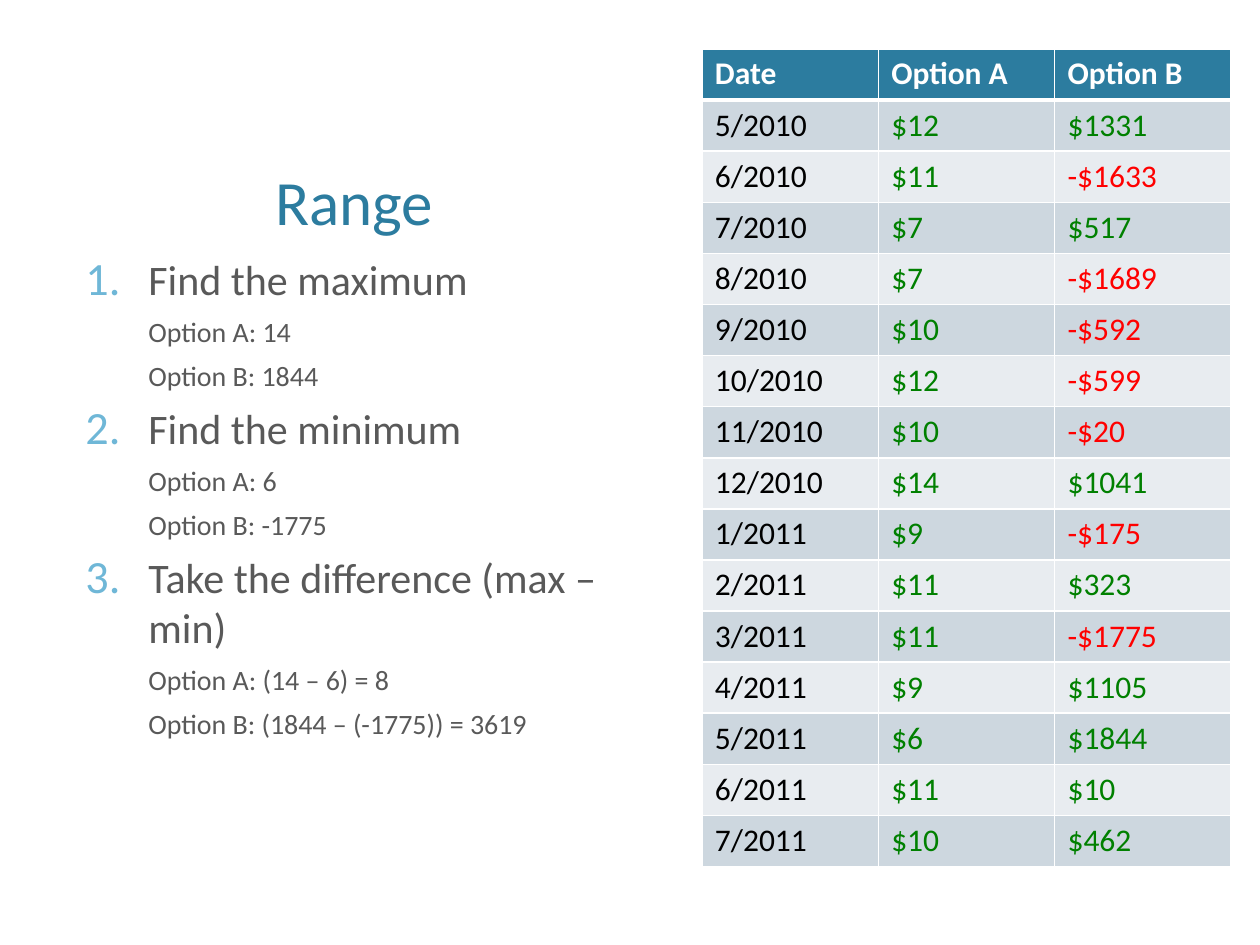
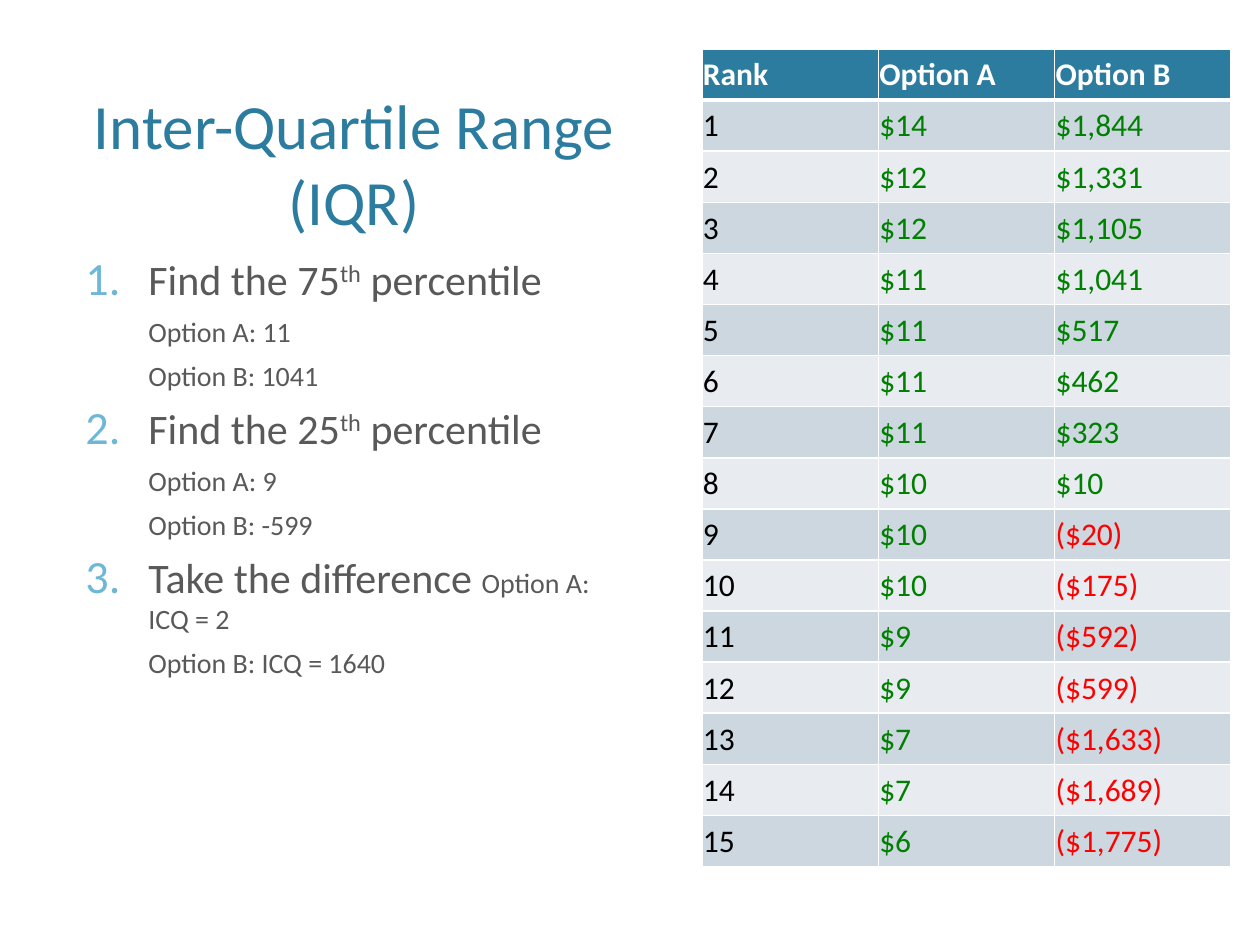
from lxml import etree
from pptx import Presentation
from pptx import util as u
from pptx.dml.color import RGBColor
from pptx.enum import text
from pptx.oxml import ns

# Content: a step is its heading runs plus detail lines; a run is (text, style)
SLIDES = [
    {
        "title": "Range",
        "steps": [
            ([("Find the maximum", "step")],
             ["Option A: 14", "Option B: 1844"]),
            ([("Find the minimum", "step")],
             ["Option A: 6", "Option B: -1775"]),
            ([("Take the difference (max – min)", "step")],
             ["Option A: (14 – 6) = 8", "Option B: (1844 – (-1775)) = 3619"]),
        ],
        "header": ("Date", "Option A", "Option B"),
        "rows": [
            ("5/2010", "$12", "$1331"),
            ("6/2010", "$11", "-$1633"),
            ("7/2010", "$7", "$517"),
            ("8/2010", "$7", "-$1689"),
            ("9/2010", "$10", "-$592"),
            ("10/2010", "$12", "-$599"),
            ("11/2010", "$10", "-$20"),
            ("12/2010", "$14", "$1041"),
            ("1/2011", "$9", "-$175"),
            ("2/2011", "$11", "$323"),
            ("3/2011", "$11", "-$1775"),
            ("4/2011", "$9", "$1105"),
            ("5/2011", "$6", "$1844"),
            ("6/2011", "$11", "$10"),
            ("7/2011", "$10", "$462"),
        ],
        "margins": (13, 6, 13, 6),
        "anchor": text.MSO_ANCHOR.TOP,
    },
    {
        "title": "Inter-Quartile Range (IQR)",
        "steps": [
            ([("Find the 75", "step"), ("th", "super"), (" percentile", "step")],
             ["Option A: 11", "Option B: 1041"]),
            ([("Find the 25", "step"), ("th", "super"), (" percentile", "step")],
             ["Option A: 9", "Option B: -599"]),
            ([("Take the difference ", "step"), ("Option A: ICQ = 2", "detail")],
             ["Option B: ICQ = 1640"]),
        ],
        "header": ("Rank", "Option A", "Option B"),
        "rows": [
            ("1", "$14", "$1,844"),
            ("2", "$12", "$1,331"),
            ("3", "$12", "$1,105"),
            ("4", "$11", "$1,041"),
            ("5", "$11", "$517"),
            ("6", "$11", "$462"),
            ("7", "$11", "$323"),
            ("8", "$10", "$10"),
            ("9", "$10", "($20)"),
            ("10", "$10", "($175)"),
            ("11", "$9", "($592)"),
            ("12", "$9", "($599)"),
            ("13", "$7", "($1,633)"),
            ("14", "$7", "($1,689)"),
            ("15", "$6", "($1,775)"),
        ],
        "margins": (1, 1, 1, 0),
        "anchor": text.MSO_ANCHOR.MIDDLE,
    },
]

# Shared look
FONT = "Calibri"
TEAL = RGBColor(0x2C, 0x7C, 0x9F)
SKY = RGBColor(0x6F, 0xB7, 0xD7)
GREY = RGBColor(0x59, 0x59, 0x59)
WHITE = RGBColor(0xFF, 0xFF, 0xFF)
BLACK = RGBColor(0, 0, 0)
GAIN = RGBColor(0, 0x80, 0)
LOSS = RGBColor(0xFF, 0, 0)
BANDS = (RGBColor(0xCD, 0xD7, 0xDF), RGBColor(0xE8, 0xEC, 0xF0))
SIZES = {"step": 24, "super": 24, "detail": 16}

# Layout in px, 126 to the inch
PX = u.Inches(1) / 126
SLIDE_SIZE = (1260, 945)
TITLE_BOX = (73, 84, 562, 160)
STEPS_BOX = (73, 247, 562, 513)
TABLE_BOX = (702, 49, 529, 818)
INDENT = 63


def px(n):
    return u.Emu(round(n * PX))


def add_run(p, words, size, color, bold=False):
    r = p.add_run()
    r.text = words
    r.font.name, r.font.size, r.font.bold = FONT, u.Pt(size), bold
    r.font.color.rgb = color
    return r


def add_box(slide, box):
    tf = slide.shapes.add_textbox(*map(px, box)).text_frame
    tf.word_wrap = True
    return tf


def sub(parent, tag, **attrs):
    return etree.SubElement(parent, ns.qn(tag), attrs)


def style_paragraph(p, numbered):
    """Indent the paragraph, and number it if it is a step."""
    p.space_before = u.Pt(6)
    p.level = 0 if numbered else 1
    pPr = p._p.get_or_add_pPr()
    pPr.set("marL", str(px(INDENT)))
    pPr.set("indent", str(-px(INDENT) if numbered else 0))
    if numbered:
        sub(sub(pPr, "a:buClr"), "a:srgbClr", val=str(SKY))
        sub(pPr, "a:buSzPct", val="110000")
        sub(pPr, "a:buFont", typeface="+mj-lt")
        sub(pPr, "a:buAutoNum", type="arabicPeriod")
    else:
        sub(pPr, "a:buNone")


def add_title(slide, title):
    tf = add_box(slide, TITLE_BOX)
    tf.vertical_anchor = text.MSO_ANCHOR.BOTTOM
    p = tf.paragraphs[0]
    p.alignment = text.PP_ALIGN.CENTER
    add_run(p, title, 36, TEAL)


def add_steps(slide, steps):
    tf = add_box(slide, STEPS_BOX)
    lines = []
    for heading, details in steps:
        lines.append((heading, True))
        lines += [([(d, "detail")], False) for d in details]
    for i, (runs, numbered) in enumerate(lines):
        p = tf.add_paragraph() if i else tf.paragraphs[0]
        style_paragraph(p, numbered)
        for words, style in runs:
            r = add_run(p, words, SIZES[style], GREY)
            if style == "super":
                r._r.get_or_add_rPr().set("baseline", "30000")


def set_borders(cell, top, bottom):
    tcPr = cell._tc.get_or_add_tcPr()
    for side, width in (("L", 1), ("R", 1), ("T", top), ("B", bottom)):
        ln = sub(tcPr, "a:ln" + side, w=str(u.Pt(width)))
        sub(sub(ln, "a:solidFill"), "a:srgbClr", val=str(WHITE))


def cell_color(row, col, words):
    if row == 0:
        return WHITE
    if col == 0:
        return BLACK
    return LOSS if words[0] in "-(" else GAIN


def add_values(slide, data):
    rows = [data["header"], *data["rows"]]
    n_cols = len(data["header"])
    table = slide.shapes.add_table(len(rows), n_cols, *map(px, TABLE_BOX)).table
    for column in table.columns:
        column.width = px(TABLE_BOX[2] / n_cols)
    for i, values in enumerate(rows):
        table.rows[i].height = px(TABLE_BOX[3] / len(rows))
        for j, words in enumerate(values):
            cell = table.cell(i, j)
            # The rule under the header is thicker than the other lines
            set_borders(cell, 3 if i == 1 else 1, 3 if i == 0 else 1)
            cell.fill.solid()
            cell.fill.fore_color.rgb = BANDS[(i - 1) % 2] if i else TEAL
            (cell.margin_left, cell.margin_top,
             cell.margin_right, cell.margin_bottom) = map(px, data["margins"])
            cell.vertical_anchor = data["anchor"]
            add_run(cell.text_frame.paragraphs[0], words, 18,
                    cell_color(i, j, words), bold=i == 0)


def main():
    prs = Presentation()
    prs.slide_width, prs.slide_height = map(px, SLIDE_SIZE)
    for data in SLIDES:
        slide = prs.slides.add_slide(prs.slide_layouts[6])
        add_title(slide, data["title"])
        add_steps(slide, data["steps"])
        add_values(slide, data)
    prs.save("out.pptx")


if __name__ == "__main__":
    main()
